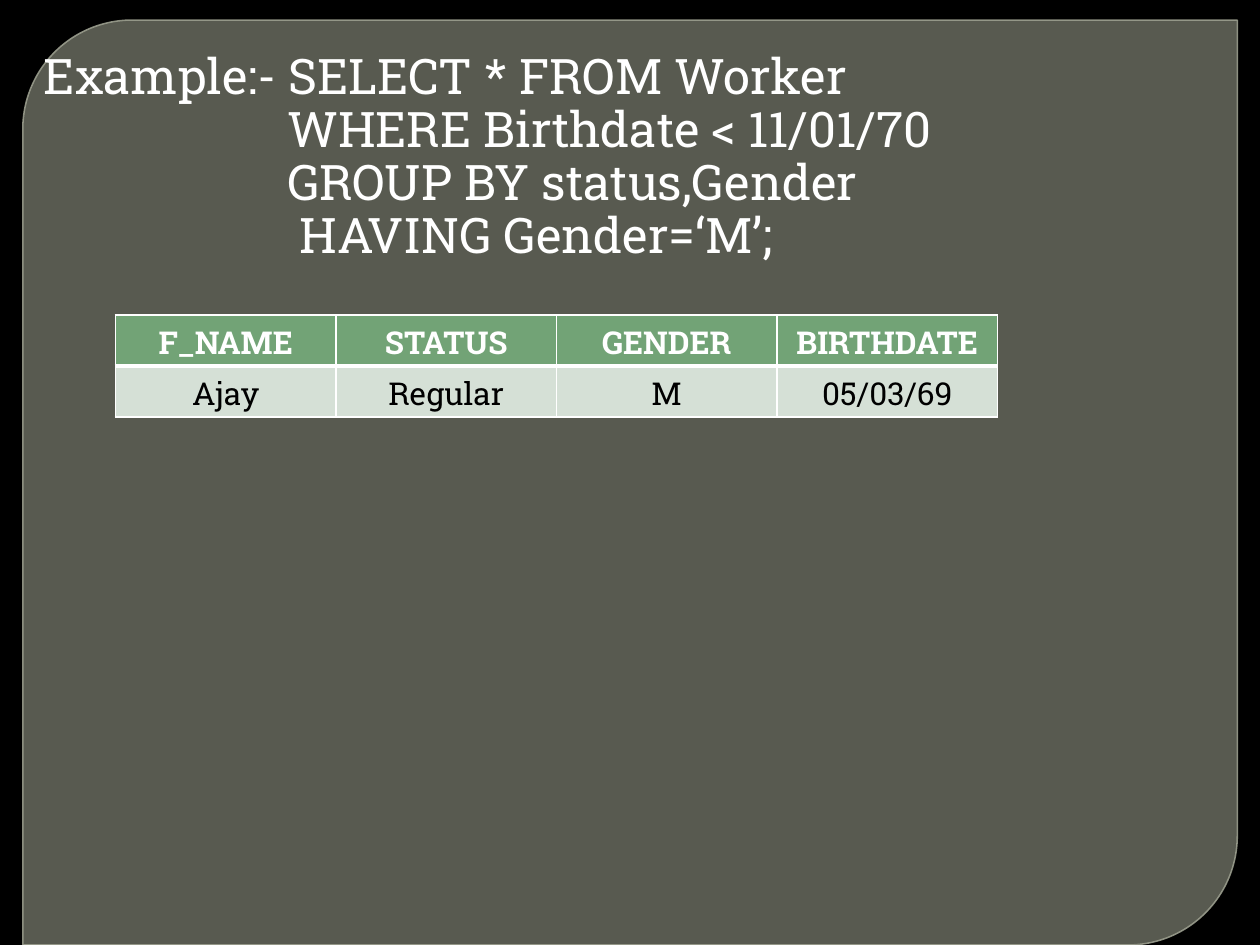
"""Build a slide with a GROUP BY query and its result table."""
from lxml import etree
from pptx import Presentation
from pptx.dml.color import RGBColor
from pptx.enum.shapes import MSO_SHAPE
from pptx.enum.text import PP_ALIGN
from pptx.oxml.ns import qn
from pptx.util import Pt

PANEL = MSO_SHAPE.ROUND_2_DIAG_RECTANGLE
CENTER = PP_ALIGN.CENTER

QUERY = [
    ("Example:- SELECT * FROM Worker", 0),
    ("WHERE Birthdate < 11/01/70", 139),
    ("GROUP BY status,Gender", 139),
    ("HAVING Gender=‘M’;", 146),
]
ROWS = [
    ("F_NAME", "STATUS", "GENDER", "BIRTHDATE"),
    ("Ajay", "Regular", "M", "05/03/69"),
]
THEME = {
    "font": "Roboto Slab", "query": 28, "cell": 18,
    "back": "000000", "panel": "888B7B", "edge": "9DA090", "text": "FFFFFF",
    "rule": "FFFFFF", "fills": ("72A376", "D5E0D6"), "inks": ("FFFFFF", "000000"),
}


def paint(fill, color, alpha=None):
    """Set a solid fill with optional opacity in percent."""
    fill.solid()
    fill.fore_color.rgb = RGBColor.from_string(color)
    if alpha:
        node = fill._xPr.find(qn("a:solidFill"))[0]
        etree.SubElement(node, qn("a:alpha"), val=str(alpha * 1000))


def write(para, text, size, color, bold=False):
    """Add one styled run."""
    run = para.add_run()
    run.text = text
    run.font.name = THEME["font"]
    run.font.size = Pt(size)
    run.font.bold = bold
    run.font.color.rgb = RGBColor.from_string(color)


def border(cell, widths):
    """Draw the left, right, top and bottom rules of a cell."""
    props = cell._tc.get_or_add_tcPr()
    for spot, (side, width) in enumerate(zip("LRTB", widths)):
        line = etree.Element(qn(f"a:ln{side}"), w=str(Pt(width)))
        fill = etree.SubElement(line, qn("a:solidFill"))
        etree.SubElement(fill, qn("a:srgbClr"), val=THEME["rule"])
        props.insert(spot, line)


def add_panel(slide):
    """Add the rounded backdrop."""
    panel = slide.shapes.add_shape(PANEL, Pt(13), Pt(11.5), Pt(694), Pt(528.5))
    panel.adjustments[0] = 0.118
    panel.adjustments[1] = 0
    panel.shadow.inherit = False
    paint(panel.fill, THEME["panel"], 65)
    panel.line.width = Pt(0.87)
    paint(panel.line.fill, THEME["edge"], 88)


def add_query(slide):
    """Add the query, one paragraph a line."""
    box = slide.shapes.add_textbox(Pt(18), Pt(24), Pt(702), Pt(534))
    frame = box.text_frame
    frame.word_wrap = True
    frame.margin_top = Pt(6)
    for i, (text, indent) in enumerate(QUERY):
        para = frame.add_paragraph() if i else frame.paragraphs[0]
        para.line_spacing = 0.9
        para._p.get_or_add_pPr().set("marL", str(Pt(indent)))
        write(para, text, THEME["query"], THEME["text"])


def add_result(slide):
    """Add the result table."""
    grid = slide.shapes.add_table(
        len(ROWS), len(ROWS[0]), Pt(66), Pt(180), Pt(504), Pt(58.4)).table
    for r, row in enumerate(ROWS):
        for c, text in enumerate(row):
            cell = grid.cell(r, c)
            paint(cell.fill, THEME["fills"][r])
            border(cell, (1, 1, 3 if r else 1, 1 if r else 3))
            para = cell.text_frame.paragraphs[0]
            para.alignment = CENTER
            write(para, text, THEME["cell"], THEME["inks"][r], r == 0)


def main():
    """Build and save the slide."""
    deck = Presentation()
    deck.slide_width, deck.slide_height = Pt(720), Pt(540)
    slide = deck.slides.add_slide(deck.slide_layouts[6])
    paint(slide.background.fill, THEME["back"])
    add_panel(slide)
    add_query(slide)
    add_result(slide)
    deck.save("out.pptx")


if __name__ == "__main__":
    main()
